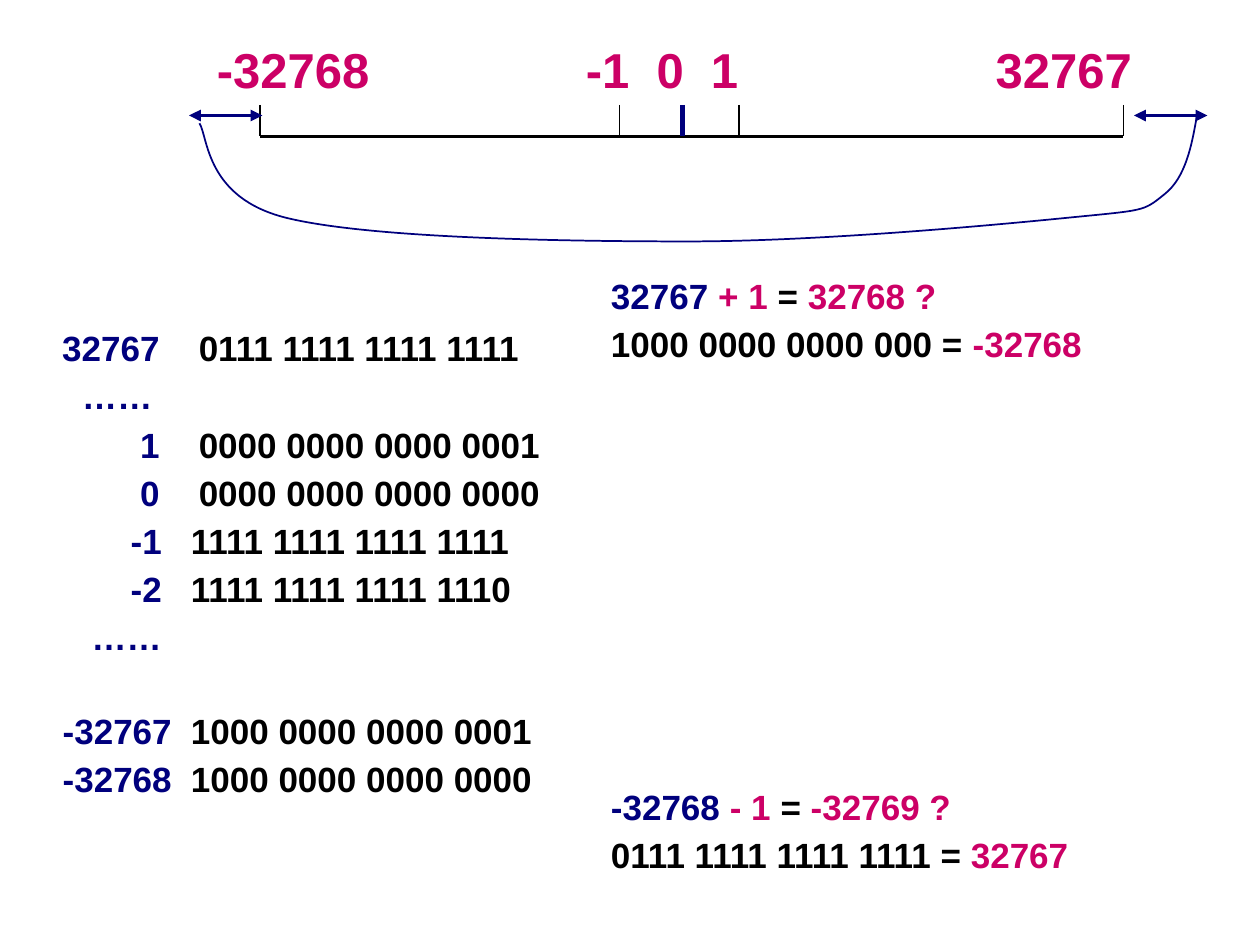
import pptx
import pptx.dml.color
import pptx.enum.shapes
import pptx.enum.text
import pptx.oxml.ns
import pptx.util
from lxml import etree

Pt = pptx.util.Pt
qn = pptx.oxml.ns.qn

THEME = {
    "font": "Arial", "label": 28, "body": 20,
    "navy": "00007D", "pink": "CC0066", "black": "000000",
    "pitch": 26.55, "gap": 5.85,
}

# Number line: label and left edge of its text, measured inside the title
LABELS = [("-32768", 50.7), ("-1", 261.6), ("0", 302.1), ("1", 333), ("32767", 495.8)]
AXIS_Y, TICK_TOP, ARROW_Y = 78, 60, 66
TICKS = [(148.5, "black", 1), (354, "black", 1), (390, "navy", 3),
         (422.5, "black", 1), (642, "black", 1)]
OVERFLOW_ARROWS = [(648, 690), (108, 150)]
# Start point, then two control points and an end point for each segment
WRAP_CURVE = [
    (684, 66),
    (681, 83.5), (677.5, 101.5), (665.5, 111),
    (653, 121), (655, 120), (610, 124.5),
    (564.5, 129), (467, 138), (393, 138),
    (318, 138), (210, 136), (163.5, 124.5),
    (117.5, 113), (119, 78.5), (114, 70.5),
]

# Decimal value, its right edge, bit pattern, left edge of the bits, lines down
CODES = [
    ("32767", 66.2, "0111 1111 1111 1111", 88.5, 1),
    ("……", 62, "", 0, 1),
    ("1", 66.2, "0000 0000 0000 0001", 88.5, 1),
    ("0", 66.2, "0000 0000 0000 0000", 88.5, 1),
    ("-1", 67.4, "1111 1111 1111 1111", 84, 1),
    ("-2", 67.4, "1111 1111 1111 1110", 84, 1),
    ("……", 67.4, "", 0, 1),
    ("-32767", 73.1, "1000 0000 0000 0001", 84, 2),
    ("-32768", 73.1, "1000 0000 0000 0000", 84, 1),
]
OVERFLOWS = [
    (156, [[("32767 ", "navy"), ("+ 1 ", "pink"), ("=", "black"), (" 32768 ?", "pink")],
           [("1000 0000 0000 000 =", "black"), (" -32768", "pink")]]),
    (448, [[("-32768 ", "navy"), ("- 1 ", "pink"), ("=", "black"), (" -32769 ?", "pink")],
           [("0111 1111 1111 1111 =", "black"), (" 32767", "pink")]]),
]


def rgb(name):
    return pptx.dml.color.RGBColor.from_string(THEME[name])


def add_run(p, text, color, size="body"):
    r = p.add_run()
    r.text = text
    r.font.name = THEME["font"]
    r.font.size = Pt(THEME[size])
    r.font.bold = True
    r.font.color.rgb = rgb(color)


def set_tabs(p, stops):
    tabs = etree.SubElement(p._p.get_or_add_pPr(), qn("a:tabLst"))
    for pos, side in stops:
        etree.SubElement(tabs, qn("a:tab"), pos=str(int(Pt(pos))), algn=side)


def add_text_box(s, left, top, width, height):
    tf = s.shapes.add_textbox(Pt(left), Pt(top), Pt(width), Pt(height)).text_frame
    tf.word_wrap = True
    return tf


def next_paragraph(tf, lines_down=1):
    """Return the first, still empty paragraph, or a new one that many lines down."""
    first = tf.paragraphs[0]
    p = first if not first.runs else tf.add_paragraph()
    p.line_spacing = 0.9
    if p is not first:
        p.space_before = Pt(THEME["gap"] + (lines_down - 1) * THEME["pitch"])
    return p


def add_line(s, x1, y1, x2, y2, color, width, arrows=False):
    line = s.shapes.add_connector(pptx.enum.shapes.MSO_CONNECTOR.STRAIGHT,
                                  Pt(x1), Pt(y1), Pt(x2), Pt(y2))
    line.line.color.rgb = rgb(color)
    line.line.width = Pt(width)
    if arrows:
        for end in ("a:headEnd", "a:tailEnd"):
            etree.SubElement(line.line._get_or_add_ln(), qn(end), type="triangle")
    etree.SubElement(line._element.spPr, qn("a:effectLst"))


def add_curve(s, points, color, width):
    """Draw a freeform whose points after the first are cubic segments."""
    start, *rest = [(Pt(x), Pt(y)) for x, y in points]
    builder = s.shapes.build_freeform(*start)
    builder.add_line_segments(rest, close=False)
    shape = builder.convert_to_shape()
    shape.shadow.inherit = False
    shape.fill.background()
    shape.line.color.rgb = rgb(color)
    shape.line.width = Pt(width)
    outline = shape._element.find(".//" + qn("a:path"))
    steps = outline.findall(qn("a:lnTo"))
    for i in range(0, len(steps), 3):
        cubic = etree.SubElement(outline, qn("a:cubicBezTo"))
        for step in steps[i:i + 3]:
            cubic.append(step[0])
            outline.remove(step)


def add_labels(s):
    title = s.shapes.title
    title.left, title.top, title.width, title.height = Pt(66), Pt(18), Pt(612), Pt(42)
    tf = title.text_frame
    tf.auto_size = pptx.enum.text.MSO_AUTO_SIZE.NONE
    tf.vertical_anchor = pptx.enum.text.MSO_ANCHOR.BOTTOM
    p = tf.paragraphs[0]
    set_tabs(p, [(left, "l") for _, left in LABELS])
    p.alignment = pptx.enum.text.PP_ALIGN.LEFT
    for label, _ in LABELS:
        add_run(p, "\t" + label, "pink", "label")


def add_number_line(s):
    add_line(s, TICKS[0][0], AXIS_Y, TICKS[-1][0], AXIS_Y, "black", 2.25)
    for x, color, width in TICKS:
        add_line(s, x, TICK_TOP, x, AXIS_Y, color, width)
    for x1, x2 in OVERFLOW_ARROWS:
        add_line(s, x1, ARROW_Y, x2, ARROW_Y, "navy", 2.25, arrows=True)
    add_curve(s, WRAP_CURVE, "navy", 1)


def add_codes(s):
    tf = add_text_box(s, 18, 186, 342, 270)
    for value, right, bits, left, lines_down in CODES:
        p = next_paragraph(tf, lines_down)
        set_tabs(p, [(right, "r")] + ([(left, "l")] if bits else []))
        add_run(p, "\t" + value, "navy")
        if bits:
            add_run(p, "\t" + bits, "black")


def add_overflows(s):
    for top, lines in OVERFLOWS:
        tf = add_text_box(s, 342, top, 336, 56)
        for line in lines:
            p = next_paragraph(tf)
            for text, color in line:
                add_run(p, text, color)


def main():
    prs = pptx.Presentation()
    prs.slide_width, prs.slide_height = Pt(720), Pt(540)
    s = prs.slides.add_slide(prs.slide_layouts.get_by_name("Title Only"))
    add_labels(s)
    add_number_line(s)
    add_codes(s)
    add_overflows(s)
    prs.save("out.pptx")


if __name__ == "__main__":
    main()
